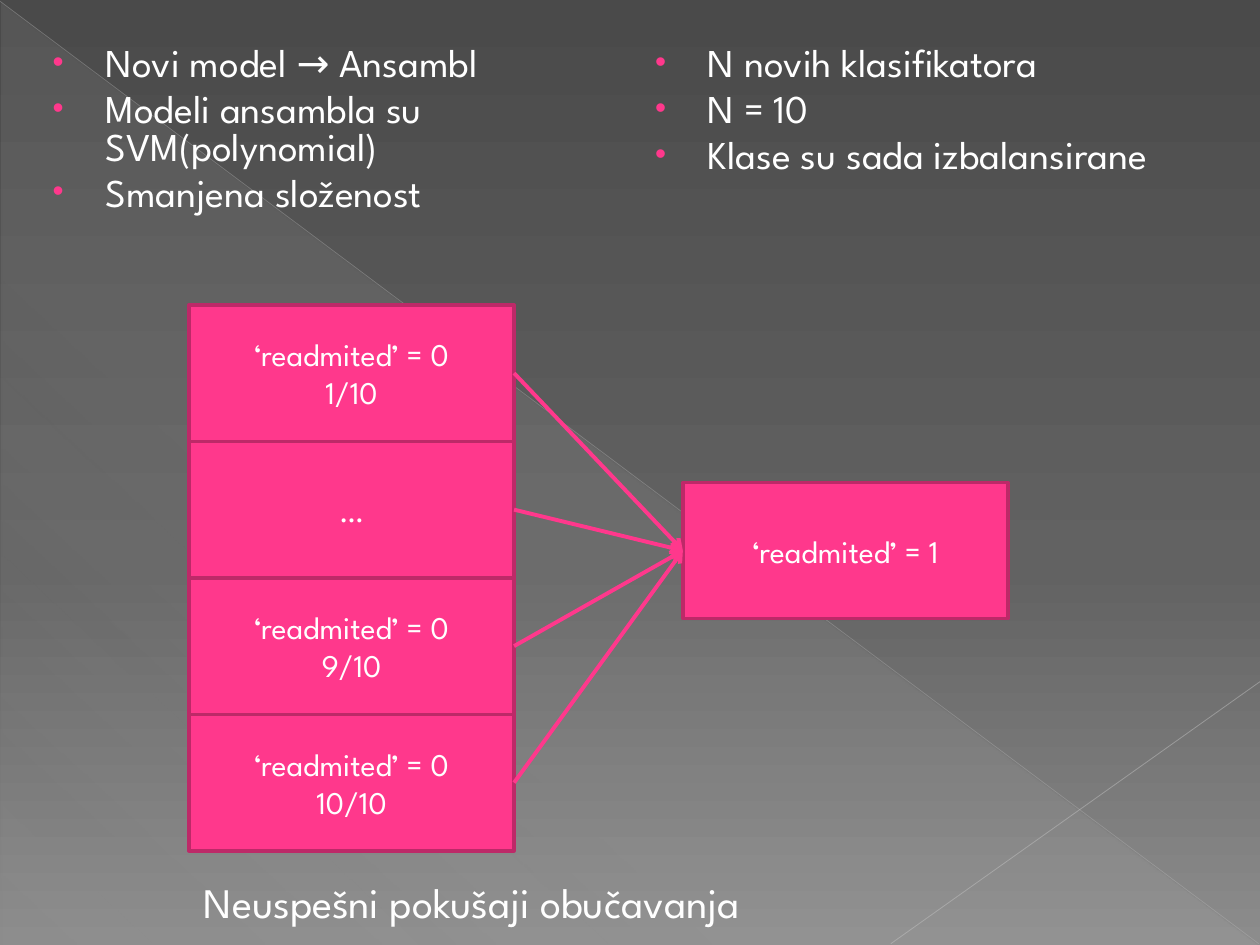
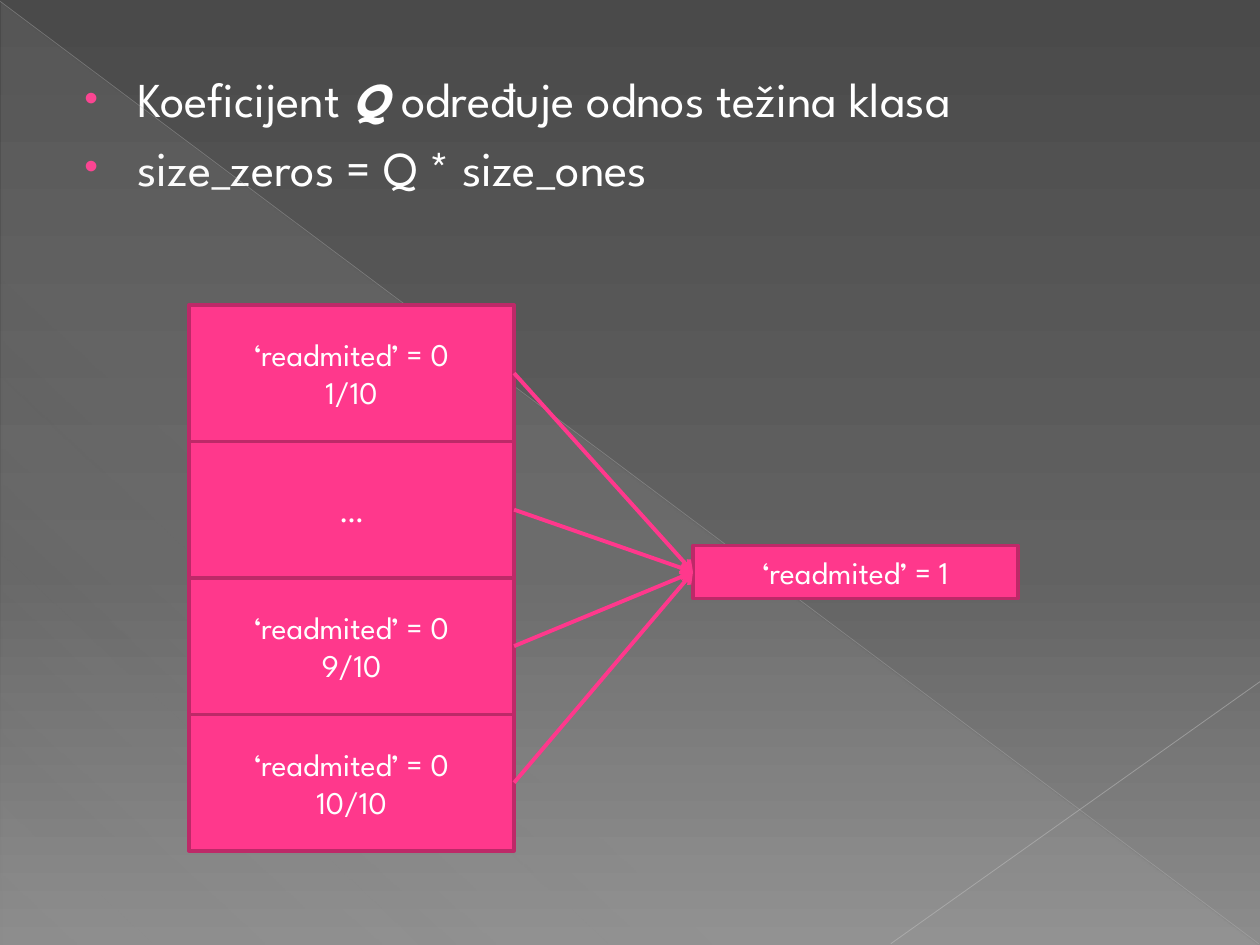
"""Build two slides on balancing classes with an ensemble."""
from dataclasses import dataclass
from typing import Any, NamedTuple

from lxml.etree import SubElement as Sub
from pptx import Presentation
from pptx.dml.color import RGBColor as Rgb
from pptx.enum.shapes import MSO_CONNECTOR as Link, MSO_SHAPE as Kind
from pptx.enum.text import MSO_ANCHOR as Anchor, MSO_AUTO_SIZE as Fit, PP_ALIGN as Align
from pptx.oxml.ns import qn
from pptx.util import Inches, Pt


class Stop(NamedTuple):
    place: int
    color: str
    alpha: int = 100


class Area(NamedTuple):
    left: float
    top: float
    width: float
    height: float

    def lengths(self) -> list[int]:
        return [Inches(value) for value in self]


class Run(NamedTuple):
    text: str
    strong: bool = False


class Ray(NamedTuple):
    start: tuple[float, float]
    end: tuple[float, float]
    color: str
    width: float
    alpha: int


@dataclass(frozen=True)
class Theme:
    font: str = "League Spartan"
    text: str = "FFFFFF"
    pink: str = "FF388C"
    edge: str = "BD2968"
    label: float = 18
    list: float = 22.5
    body: float = 27.8
    note: float = 24
    ground: tuple[Stop, ...] = (Stop(0, "4A4A4A"), Stop(60, "626262"), Stop(100, "8C8C8C"))
    sheen: tuple[Stop, ...] = (Stop(0, "D2D2D2", 10), Stop(70, "D2D2D2", 8), Stop(100, "D2D2D2", 1))
    rays: tuple[Ray, ...] = (
        Ray((0, 0.01), (9.99, 7.49), "BFBFBF", 0.39, 35),
        Ray((10, 5.41), (7.07, 7.49), "C6C6C6", 0.47, 45),
    )


THEME = Theme()
SHEEN = Area(0.01, 0.02, 9.98, 7.48)
STACK = Area(1.5, 2.42, 2.58, 13 / 12)
ZERO = "‘readmited’ = 0"
PARTS = ((ZERO, "1/10"), ("…",), (ZERO, "9/10"), (ZERO, "10/10"))
ONE = ("‘readmited’ = 1",)
COLUMNS = (
    ("Novi model → Ansambl", "Modeli ansambla su SVM(polynomial)", "Smanjena složenost"),
    ("N novih klasifikatora", "N = 10", "Klase su sada izbalansirane"),
)
RATIO = (
    (Run("Koeficijent "), Run("Q ", True), Run("određuje odnos težina klasa")),
    (Run("size_zeros = Q * size_ones"),),
)


def apply(item: Any, form: dict[str, Any]) -> None:
    for name, value in form.items():
        setattr(item, name, value)


def add_alpha(color: Any, alpha: int) -> None:
    if alpha < 100:
        Sub(color, qn("a:alpha"), val=str(alpha * 1000))


def blend(fill: Any, owner: Any, stops: tuple[Stop, ...], angle: int) -> None:
    fill.gradient()
    fill.gradient_angle = 360 - angle
    ramp = owner.find(".//" + qn("a:gsLst"))
    for old in list(ramp):
        ramp.remove(old)
    for stop in stops:
        mark = Sub(ramp, qn("a:gs"), pos=str(stop.place * 1000))
        add_alpha(Sub(mark, qn("a:srgbClr"), val=stop.color), stop.alpha)


def add_line(slide: Any, color: str, width: float,
             start: tuple[float, float] = (0, 0), end: tuple[float, float] = (0, 0)) -> Any:
    line = slide.shapes.add_connector(Link.STRAIGHT, *map(Inches, start + end))
    line.line.width = Pt(width)
    line.line.color.rgb = Rgb.from_string(color)
    Sub(line.element.spPr, qn("a:effectLst"))
    return line


def dress(slide: Any) -> None:
    blend(slide.background.fill, slide.element, THEME.ground, 90)
    shape = slide.shapes.add_shape(Kind.RIGHT_TRIANGLE, *SHEEN.lengths())
    shape.shadow.inherit = False
    shape.line.fill.background()
    blend(shape.fill, shape.element, THEME.sheen, 133)
    for ray in THEME.rays:
        line = add_line(slide, ray.color, ray.width, ray.start, ray.end)
        add_alpha(line.element.find(".//" + qn("a:ln")).find(".//" + qn("a:srgbClr")), ray.alpha)


def write(frame: Any, rows: tuple[tuple[Run, ...], ...], size: float, form: dict[str, Any]) -> list[Any]:
    paras = []
    for index, row in enumerate(rows):
        para = frame.add_paragraph() if index else frame.paragraphs[0]
        apply(para, form)
        for piece in row:
            run = para.add_run()
            run.text = piece.text
            apply(run.font, {"name": THEME.font, "size": Pt(size),
                             "bold": piece.strong, "italic": piece.strong})
            run.font.color.rgb = Rgb.from_string(THEME.text)
        paras.append(para)
    return paras


def plain(texts: tuple[str, ...]) -> tuple[tuple[Run, ...], ...]:
    return tuple((Run(text),) for text in texts)


def add_list(frame: Any, rows: tuple[tuple[Run, ...], ...], size: float, pitch: float) -> None:
    apply(frame, {"word_wrap": True, "auto_size": Fit.NONE})
    form = {"line_spacing": pitch, "space_before": Pt(size * 0.2)}
    for para in write(frame, rows, size, form):
        props = para._p.get_or_add_pPr()
        props.set("marL", str(Inches(0.49)))
        props.set("indent", str(Inches(-0.42)))
        Sub(Sub(props, qn("a:buClr")), qn("a:srgbClr"), val=THEME.pink)
        Sub(props, qn("a:buSzPct"), val="80000")
        Sub(props, qn("a:buFont"), typeface="Arial")
        Sub(props, qn("a:buChar"), char="•")


def add_box(slide: Any, area: Area, texts: tuple[str, ...]) -> Any:
    box = slide.shapes.add_shape(Kind.RECTANGLE, *area.lengths())
    box.shadow.inherit = False
    box.fill.solid()
    box.fill.fore_color.rgb = Rgb.from_string(THEME.pink)
    box.line.color.rgb = Rgb.from_string(THEME.edge)
    box.line.width = Pt(2)
    box.text_frame.vertical_anchor = Anchor.MIDDLE
    write(box.text_frame, plain(texts), THEME.label, {"alignment": Align.CENTER})
    return box


def add_graph(slide: Any, goal: Area) -> None:
    target = add_box(slide, goal, ONE)
    boxes = [
        add_box(slide, STACK._replace(top=STACK.top + index * STACK.height), PARTS[index])
        for index in reversed(range(len(PARTS)))
    ]
    for box in reversed(boxes):
        arrow = add_line(slide, THEME.pink, 2.25)
        arrow.begin_connect(box, 3)
        arrow.end_connect(target, 1)
        Sub(arrow.element.find(".//" + qn("a:ln")), qn("a:tailEnd"), type="arrow")


def add_models(deck: Any) -> None:
    slide = deck.slides.add_slide(deck.slide_layouts[6])
    dress(slide)
    add_graph(slide, Area(5.42, 3.83, 2.58, 1.08))
    for index, texts in enumerate(COLUMNS):
        area = Area(0.25 + index * 4.78, 0.33, 4.78, 2)
        frame = slide.shapes.add_textbox(*area.lengths()).text_frame
        add_list(frame, plain(texts), THEME.list, 0.8)
    note = slide.shapes.add_textbox(*Area(1.52, 6.91, 7.2, 0.5).lengths()).text_frame
    apply(note, {"word_wrap": True, "auto_size": Fit.SHAPE_TO_FIT_TEXT})
    write(note, plain(("Neuspešni pokušaji obučavanja",)), THEME.note, {})


def add_ratio(deck: Any) -> None:
    slide = deck.slides.add_slide(deck.slide_layouts[1])
    title = slide.shapes.title.element
    title.getparent().remove(title)
    dress(slide)
    body = slide.placeholders[1]
    apply(body, dict(zip(Area._fields, Area(0.5, 0.5, 9, 1.44).lengths())))
    add_list(body.text_frame, RATIO, THEME.body, 1.0)
    add_graph(slide, Area(5.5, 4.33, 2.58, 0.42))


def main() -> None:
    deck = Presentation()
    apply(deck, {"slide_width": Inches(10), "slide_height": Inches(7.5)})
    add_models(deck)
    add_ratio(deck)
    deck.save("out.pptx")


if __name__ == "__main__":
    main()
